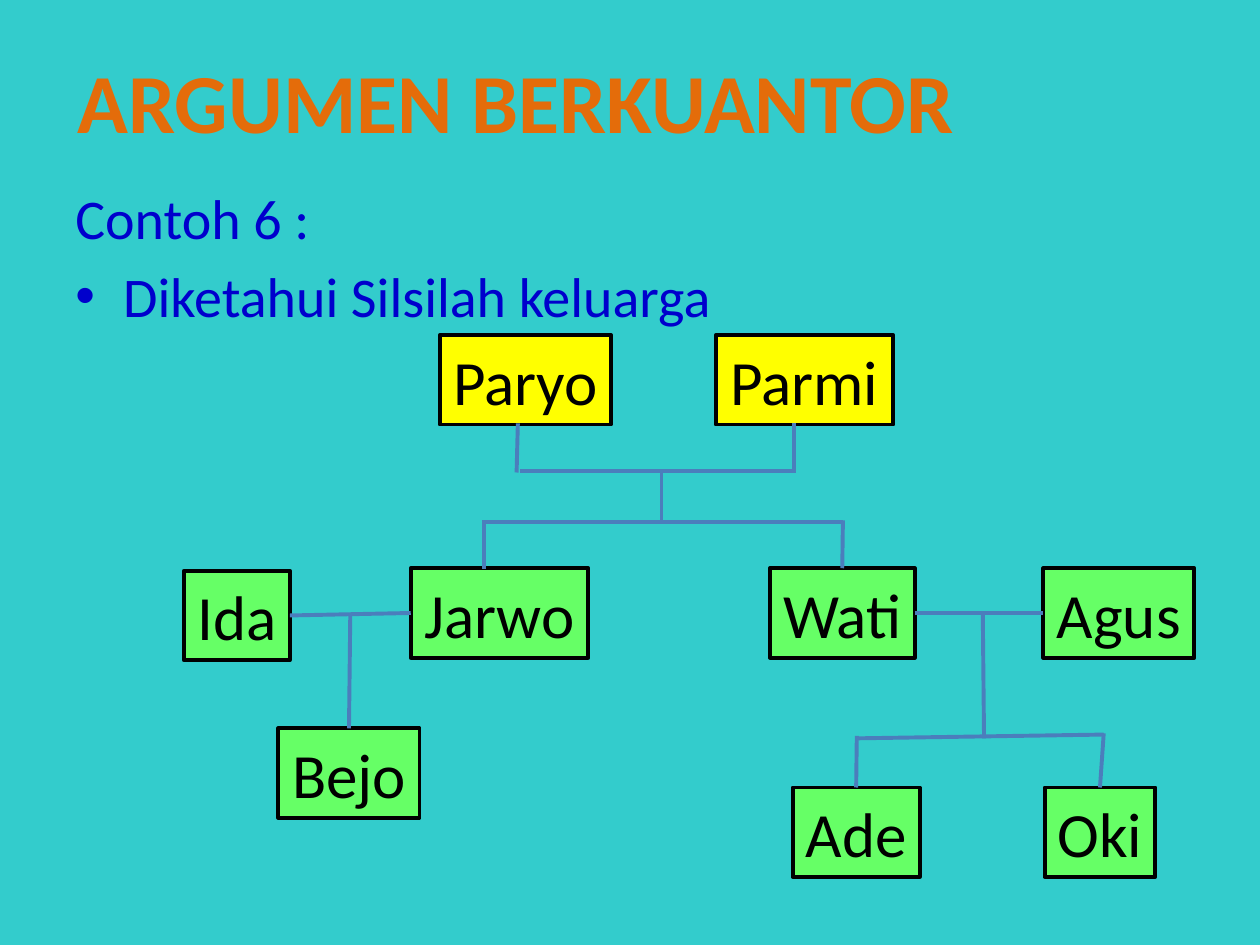
from dataclasses import dataclass
from typing import NamedTuple

from lxml.etree import SubElement
from pptx import Presentation
from pptx.dml.color import RGBColor
from pptx.enum.shapes import MSO_CONNECTOR, MSO_SHAPE
from pptx.enum.text import MSO_ANCHOR, PP_ALIGN
from pptx.oxml.ns import qn
from pptx.util import Inches, Pt


@dataclass(frozen=True)
class Theme:
    font: str = "Calibri"
    background: str = "33CCCC"
    title: str = "E46C0A"
    body: str = "0000CC"
    ink: str = "000000"
    elder: str = "FFFF00"
    descendant: str = "66FF66"
    link: str = "4B7EBC"
    title_size: float = 48
    body_size: float = 32
    name_size: float = 36
    line_width: float = 2.25


class Point(NamedTuple):
    column: float
    row: float


class Joint(NamedTuple):
    person: str
    side: int


class Person(NamedTuple):
    name: str
    column: float
    row: float
    columns: float
    fill: str


class Link(NamedTuple):
    start: Point | Joint
    end: Point | Joint


THEME = Theme()
CELL = Inches(0.1)  # the slide is a grid of 100 columns by 75 rows
BOX_ROWS = 7.1
TOP, LEFT, BOTTOM, RIGHT = range(4)

PEOPLE = [
    Person("Paryo", 34.9, 26.6, 13.6, THEME.elder),
    Person("Parmi", 56.8, 26.6, 14.1, THEME.elder),
    Person("Ida", 14.6, 45.3, 8.4, THEME.descendant),
    Person("Jarwo", 32.6, 45.1, 14.1, THEME.descendant),
    Person("Wati", 61.1, 45.1, 11.5, THEME.descendant),
    Person("Agus", 82.8, 45.1, 12, THEME.descendant),
    Person("Bejo", 22.1, 57.8, 11.2, THEME.descendant),
    Person("Ade", 62.9, 62.5, 10.1, THEME.descendant),
    Person("Oki", 82.9, 62.5, 8.8, THEME.descendant),
]

LINKS = [
    # Paryo and Parmi
    Link(Point(41.1, 33.6), Point(41, 37.5)),
    Link(Point(63, 33.6), Point(63, 37.5)),
    Link(Point(41.3, 37.4), Point(63.1, 37.4)),
    # Their children
    Link(Point(52.5, 37.4), Point(52.5, 41.3)),
    Link(Point(38.5, 41.4), Point(66.9, 41.4)),
    Link(Point(38.4, 41.3), Point(38.4, 45.2)),
    Link(Point(66.9, 41.3), Joint("Wati", TOP)),
    # Ida and Jarwo, with their child
    Link(Joint("Ida", RIGHT), Joint("Jarwo", LEFT)),
    Link(Point(27.8, 48.8), Joint("Bejo", TOP)),
    # Wati and Agus, with their children
    Link(Joint("Wati", RIGHT), Joint("Agus", LEFT)),
    Link(Point(78, 48.8), Point(78.1, 58.6)),
    Link(Point(68, 58.6), Point(87.6, 58.3)),
    Link(Point(68, 58.4), Joint("Ade", TOP)),
    Link(Point(87.6, 58.2), Joint("Oki", TOP)),
]


def grid(cells: float) -> int:
    return round(cells * CELL)


def color(value: str) -> RGBColor:
    return RGBColor.from_string(value)


def add_span(para, text: str, size: float, ink: str, bold: bool = False) -> None:
    span = para.add_run()
    span.text = text
    span.font.name = THEME.font
    span.font.size = Pt(size)
    span.font.bold = bold
    span.font.color.rgb = color(ink)


def add_text_box(page, column: float, row: float, columns: float, rows: float):
    box = page.shapes.add_textbox(*map(grid, (column, row, columns, rows)))
    box.text_frame.word_wrap = True
    return box.text_frame


def add_title(page, text: str) -> None:
    frame = add_text_box(page, 4.8, 3.4, 72.3, 9.1)
    frame.word_wrap = False
    para = frame.paragraphs[0]
    para.alignment = PP_ALIGN.CENTER
    add_span(para, text, THEME.title_size, THEME.title, bold=True)


def add_body(page, heading: str, bullet: str) -> None:
    frame = add_text_box(page, 5, 14.1, 90, 12.5)
    add_span(frame.paragraphs[0], heading, THEME.body_size, THEME.body)
    para = frame.add_paragraph()
    para.space_before = Pt(6)
    add_span(para, bullet, THEME.body_size, THEME.body)
    properties = para._p.get_or_add_pPr()
    properties.set("marL", str(Inches(0.38)))
    properties.set("indent", str(-Inches(0.38)))
    SubElement(properties, qn("a:buFont")).set("typeface", "Arial")
    SubElement(properties, qn("a:buChar")).set("char", "•")


def add_person(page, person: Person):
    box = page.shapes.add_shape(
        MSO_SHAPE.RECTANGLE,
        *map(grid, (person.column, person.row, person.columns, BOX_ROWS)),
    )
    box.shadow.inherit = False
    box.fill.solid()
    box.fill.fore_color.rgb = color(person.fill)
    box.line.color.rgb = color(THEME.ink)
    box.line.width = Pt(THEME.line_width)
    frame = box.text_frame
    frame.word_wrap = False
    frame.vertical_anchor = MSO_ANCHOR.MIDDLE
    para = frame.paragraphs[0]
    para.alignment = PP_ALIGN.CENTER
    add_span(para, person.name, THEME.name_size, THEME.ink)
    return box


def add_link(page, link: Link, boxes: dict) -> None:
    # A joint takes its place from the box it is connected to
    ends = [(0, 0) if isinstance(end, Joint) else end for end in link]
    line = page.shapes.add_connector(
        MSO_CONNECTOR.STRAIGHT, *(grid(value) for end in ends for value in end)
    )
    for end, connect in zip(link, (line.begin_connect, line.end_connect)):
        if isinstance(end, Joint):
            connect(boxes[end.person], end.side)
    line.line.color.rgb = color(THEME.link)
    line.line.width = Pt(THEME.line_width)
    SubElement(line._element.spPr, qn("a:effectLst"))


def main() -> None:
    deck = Presentation()
    deck.slide_width, deck.slide_height = grid(100), grid(75)
    page = deck.slides.add_slide(deck.slide_layouts[6])
    page.background.fill.solid()
    page.background.fill.fore_color.rgb = color(THEME.background)

    # Heading and introduction
    add_title(page, "ARGUMEN BERKUANTOR")
    add_body(page, "Contoh 6 :", "Diketahui Silsilah keluarga")

    # Family tree
    boxes = {person.name: add_person(page, person) for person in PEOPLE}
    for link in LINKS:
        add_link(page, link, boxes)

    deck.save("out.pptx")


if __name__ == "__main__":
    main()
